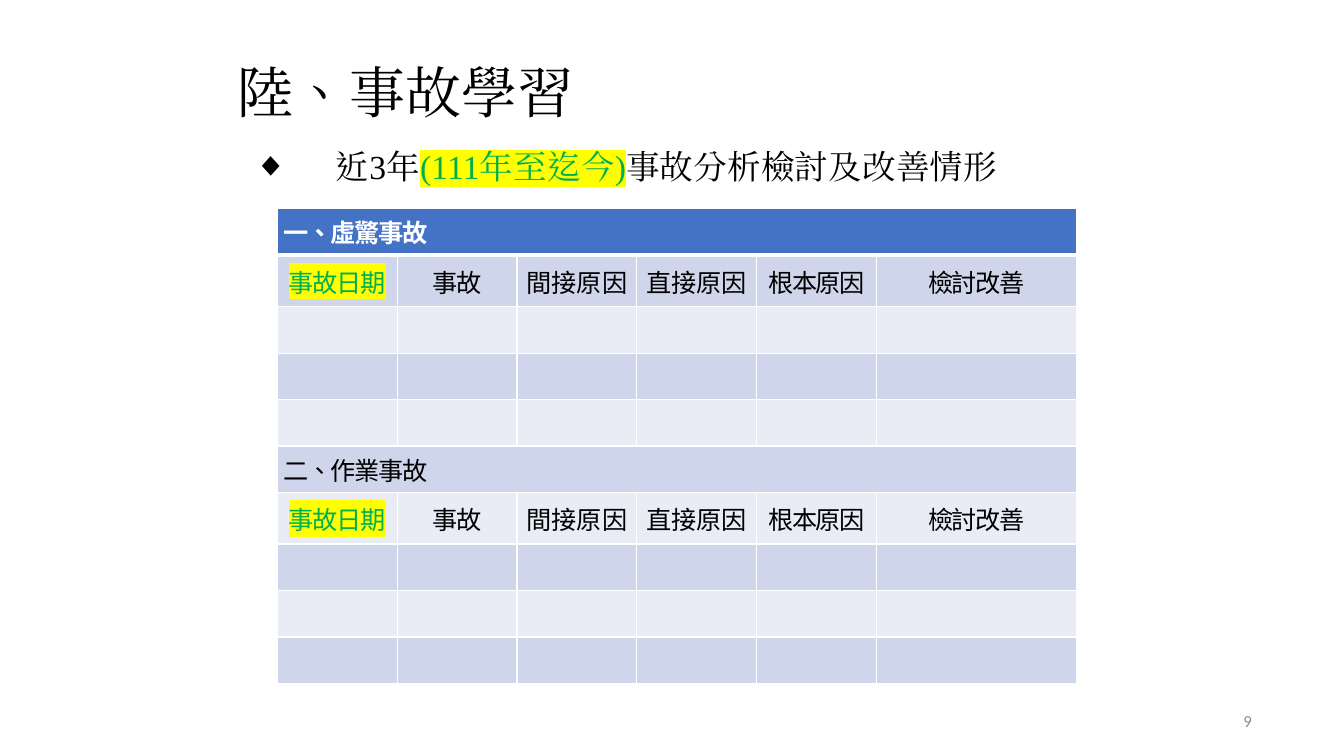
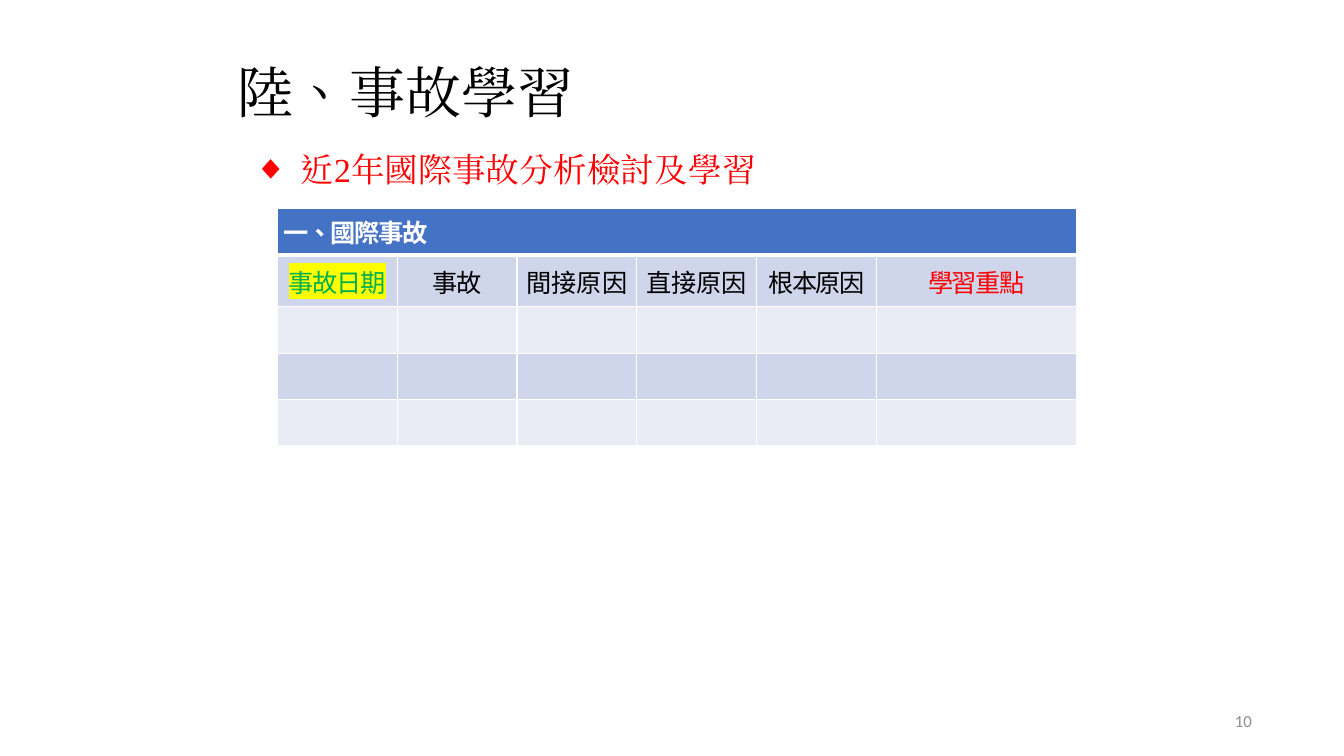
from lxml.etree import SubElement
from pptx import Presentation
from pptx.dml.color import RGBColor
from pptx.enum.text import MSO_ANCHOR, PP_ALIGN
from pptx.oxml.ns import qn
from pptx.util import Cm, Pt

BLACK, WHITE, RED, GREEN = "000000", "FFFFFF", "FF0000", "00B050"
YELLOW, GREY, HEADER_BLUE = "FFFF00", "8C8C8C", "4472C4"
BANDS = ("E9EBF5", "CFD5EA")
SERIF, SANS, NUMBER_FONT = "Times New Roman", "Noto Sans CJK SC", "Calibri"
TITLE = "陸、事故學習"
COLUMN_WIDTHS = [3.02] * 5 + [5.03]
SECTION_HEIGHTS = [1.17, 1.3, 1.17, 1.17, 1.17]
HEADINGS = [
    ("事故日期", GREEN, YELLOW, -1),
    ("事故", BLACK, None, -1),
    ("間接原因", BLACK, None, 0),
    ("直接原因", BLACK, None, 0),
    ("根本原因", BLACK, None, -1),
]


def rgb(color):
    return RGBColor.from_string(color)


def format_run(run, size, font, color, spacing=0.0, bold=False, highlight=None):
    run.font.size = Pt(size)
    run.font.bold = bold
    run.font.color.rgb = rgb(color)
    properties = run.font._element
    properties.set("lang", "zh-TW")
    properties.set("spc", str(round(spacing * 100)))
    if highlight:
        marker = SubElement(properties, qn("a:highlight"))
        SubElement(marker, qn("a:srgbClr"), val=highlight)
    run.font.name = font
    SubElement(properties, qn("a:ea"), typeface=font)


def add_text_frame(slide, left, top, width, height, anchor=MSO_ANCHOR.MIDDLE):
    frame = slide.shapes.add_textbox(Cm(left), Cm(top), Cm(width), Cm(height)).text_frame
    frame.word_wrap = True
    frame.vertical_anchor = anchor
    frame.margin_left = frame.margin_right = 0
    frame.margin_top = frame.margin_bottom = 0
    return frame


def add_title(slide):
    title = add_text_frame(slide, 5.94, 1.45, 22, 1.7).paragraphs[0]
    title.text = TITLE
    title._p.get_or_add_pPr().set("marL", str(Cm(0.05)))
    format_run(title.runs[0], 40, SERIF, BLACK, 0.1)


def add_page_number(slide, number):
    footer = add_text_frame(slide, 23.93, 17.65, 7.62, 1.02).paragraphs[0]
    footer.text = str(number)
    footer.alignment = PP_ALIGN.RIGHT
    format_run(footer.runs[0], 12, NUMBER_FONT, GREY)


def add_topic(slide, top, width, indent, hanging, parts):
    topic = add_text_frame(slide, 6.35, top, width, 1.02, MSO_ANCHOR.TOP).paragraphs[0]
    properties = topic._p.get_or_add_pPr()
    properties.set("marL", str(Cm(indent)))
    properties.set("indent", str(-Cm(hanging)))
    SubElement(properties, qn("a:buFont"), typeface=SERIF)
    SubElement(properties, qn("a:buChar"), char="◆")
    for text, color, highlight in parts:
        run = topic.add_run()
        run.text = text
        format_run(run, 24, SERIF, color, 0.1, highlight=highlight)


def style_cell(cell, fill, top_line=1, bottom_line=1):
    cell.vertical_anchor = MSO_ANCHOR.MIDDLE
    cell.margin_left = cell.margin_right = Cm(0.15)
    cell.margin_top = cell.margin_bottom = Cm(0.08)
    properties = cell._tc.get_or_add_tcPr()
    for side, width in (("L", 1), ("R", 1), ("T", top_line), ("B", bottom_line)):
        line = SubElement(properties, qn(f"a:ln{side}"), w=str(Pt(width)))
        SubElement(SubElement(line, qn("a:solidFill")), qn("a:srgbClr"), val=WHITE)
    cell.fill.solid()
    cell.fill.fore_color.rgb = rgb(fill)


def write_cell(cell, text, color, spacing, alignment, bold=False, highlight=None):
    paragraph = cell.text_frame.paragraphs[0]
    paragraph.text = text
    paragraph.alignment = alignment
    format_run(paragraph.runs[0], 18, SANS, color, spacing, bold, highlight)


def add_accident_table(slide, sections, last_heading):
    heights = SECTION_HEIGHTS * len(sections)
    table = slide.shapes.add_table(
        len(heights), len(COLUMN_WIDTHS), Cm(6.99), Cm(5.26),
        Cm(sum(COLUMN_WIDTHS)), Cm(sum(heights)),
    ).table
    table.first_row = table.horz_banding = False
    for column, width in zip(table.columns, COLUMN_WIDTHS):
        column.width = Cm(width)
    for index, (row, height) in enumerate(zip(table.rows, heights)):
        row.height = Cm(height)
        fill = BANDS[index % 2] if index else HEADER_BLUE
        for cell in row.cells:
            style_cell(cell, fill, 3 if index == 1 else 1, 1 if index else 3)
    for number, section in enumerate(sections):
        first = number * len(SECTION_HEIGHTS)
        is_header = first == 0
        section_cell = table.cell(first, 0)
        section_cell.merge(table.cell(first, len(COLUMN_WIDTHS) - 1))
        write_cell(section_cell, section, WHITE if is_header else BLACK, -1,
                   PP_ALIGN.LEFT, bold=is_header)
        for column, (text, color, highlight, spacing) in enumerate(HEADINGS + [last_heading]):
            write_cell(table.cell(first + 1, column), text, color, spacing,
                       PP_ALIGN.CENTER, highlight=highlight)


def add_page(presentation, number):
    slide = presentation.slides.add_slide(presentation.slide_layouts[6])
    add_title(slide)
    add_page_number(slide, number)
    return slide


def main():
    presentation = Presentation()
    presentation.slide_width, presentation.slide_height = Cm(33.87), Cm(19.05)

    domestic = add_page(presentation, 9)
    add_accident_table(domestic, ["一、虛驚事故", "二、作業事故"],
                       ("檢討改善", BLACK, None, -1))
    add_topic(domestic, 3.68, 22, 2.11, 2.06, [
        ("近3年", BLACK, None),
        ("(111年至迄今)", GREEN, YELLOW),
        ("事故分析檢討及改善情形", BLACK, None),
    ])

    international = add_page(presentation, 10)
    add_accident_table(international, ["一、國際事故"], ("學習重點", RED, None, -1))
    add_topic(international, 3.76, 17.98, 1.22, 1.17,
              [("近2年國際事故分析檢討及學習", RED, None)])

    presentation.save("out.pptx")


if __name__ == "__main__":
    main()
